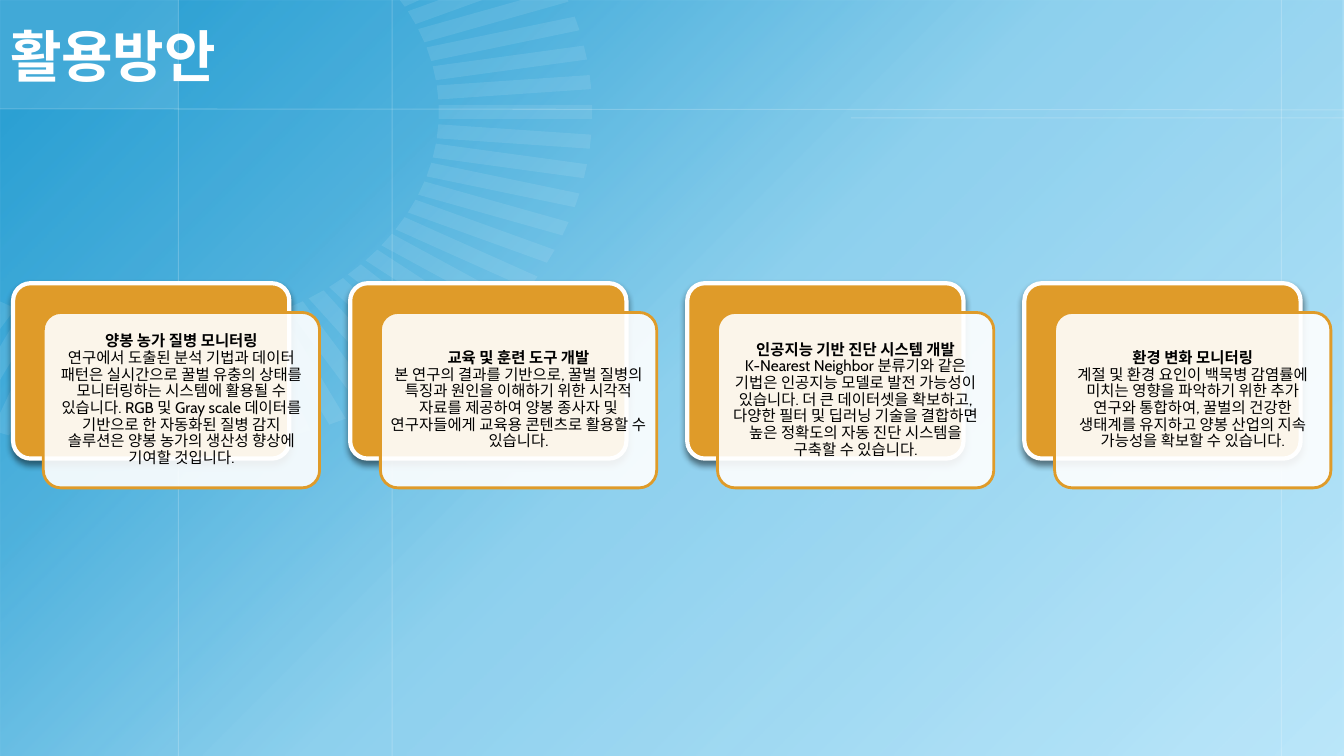
"""Builds the slide on uses of the bee disease study: a title and four cards."""
import math

import pptx
import pptx.dml.color
import pptx.enum.shapes
import pptx.enum.text
import pptx.oxml
import pptx.oxml.ns
import pptx.util
from lxml import etree

RGBColor = pptx.dml.color.RGBColor
SHAPE = pptx.enum.shapes.MSO_SHAPE

TITLE = "활용방안"
CARDS = [
    ("양봉 농가 질병 모니터링",
     "연구에서 도출된 분석 기법과 데이터 패턴은 실시간으로 꿀벌 유충의 상태를 모니터링하는 시스템에 활용될 수 있습니다. "
     "RGB 및 Gray scale 데이터를 기반으로 한 자동화된 질병 감지 솔루션은 양봉 농가의 생산성 향상에 기여할 것입니다."),
    ("교육 및 훈련 도구 개발",
     "본 연구의 결과를 기반으로, 꿀벌 질병의 특징과 원인을 이해하기 위한 시각적 자료를 제공하여 "
     "양봉 종사자 및 연구자들에게 교육용 콘텐츠로 활용할 수 있습니다."),
    ("인공지능 기반 진단 시스템 개발",
     "K-Nearest Neighbor 분류기와 같은 기법은 인공지능 모델로 발전 가능성이 있습니다. 더 큰 데이터셋을 확보하고, "
     "다양한 필터 및 딥러닝 기술을 결합하면 높은 정확도의 자동 진단 시스템을 구축할 수 있습니다."),
    ("환경 변화 모니터링",
     "계절 및 환경 요인이 백묵병 감염률에 미치는 영향을 파악하기 위한 추가 연구와 통합하여, "
     "꿀벌의 건강한 생태계를 유지하고 양봉 산업의 지속 가능성을 확보할 수 있습니다."),
]

WIDTH, HEIGHT = 13.33, 7.5
HEADER_W, HEADER_H = 1.77, 1.08
GRID_LINES = [(x, 0, x, HEIGHT) for x in (HEADER_W, 12.71, 3.89)] + [
    (0, HEADER_H, WIDTH, 1.09), (8.44, 1.17, WIDTH, 1.17)]
GRADIENT = [(6, 83), (26, 63), (50, 27), (100, 0)]

RAY_CENTER = (1.5, 1.11)
RAY_STRETCH = 1.29
RAY_INNER, RAY_OUTER, RAY_HALF = 2.21, 3.39, 0.07
RAY_STEP = 5
RAYS = [*range(-6, 15), *range(22, 25)]

CARD_W, CARD_H = 2.74, 1.74
CARD_LEFT, CARD_TOP = 0.13, 2.81
CARD_PITCH = (10.16 - CARD_LEFT) / (len(CARDS) - 1)
FRONT_DX, FRONT_DY = 0.3, 0.29
TEXT_INSET = 0.05

SKY = RGBColor(0xBC, 0xE7, 0xFA)
BLUE = RGBColor(0x0F, 0x92, 0xCC)
RAY = RGBColor(0xF2, 0xFA, 0xFE)
WHITE = RGBColor(0xFF, 0xFF, 0xFF)
AMBER = RGBColor(0xDF, 0x9B, 0x29)
BLACK = RGBColor(0, 0, 0)


def inches(*values):
    """Turn inch values into lengths."""
    return [pptx.util.Inches(v) for v in values]


def add_xml(parent, xml):
    """Append an element in the drawing namespace."""
    ns = pptx.oxml.ns.nsdecls("a")
    parent.append(pptx.oxml.parse_xml(xml.replace(">", f" {ns}>", 1)))


def set_alpha(sp, percent):
    """Make the first colour of a shape translucent."""
    color = next(sp._element.spPr.iter(pptx.oxml.ns.qn("a:srgbClr")))
    etree.SubElement(color, pptx.oxml.ns.qn("a:alpha"), val=str(percent * 1000))


def paint(sp, color, alpha=100, line=None, line_width=0):
    """Give a shape its fill, opacity and outline."""
    sp.shadow.inherit = False
    sp.fill.solid()
    sp.fill.fore_color.rgb = color
    if alpha < 100:
        set_alpha(sp, alpha)
    if line is None:
        sp.line.fill.background()
    else:
        sp.line.color.rgb = line
        sp.line.width = pptx.util.Pt(line_width)
    return sp


def add_gradient(shapes):
    """Cover the slide with a blue diagonal fade."""
    sp = shapes.add_shape(SHAPE.RECTANGLE, *inches(0, 0, WIDTH, HEIGHT))
    sp.shadow.inherit = False
    sp.line.fill.background()
    sp.fill.gradient()
    sp.fill.gradient_angle = 315
    stops = next(sp._element.spPr.iter(pptx.oxml.ns.qn("a:gsLst")))
    for gs in list(stops):
        stops.remove(gs)
    for position, alpha in GRADIENT:
        add_xml(stops, f'<a:gs pos="{position * 1000}"><a:srgbClr val="{BLUE}">'
                       f'<a:alpha val="{alpha * 1000}"/></a:srgbClr></a:gs>')


def add_grid_line(shapes, ends):
    """Draw one faint white guide line."""
    cx = shapes.add_connector(pptx.enum.shapes.MSO_CONNECTOR.STRAIGHT, *inches(*ends))
    cx.line.color.rgb = WHITE
    cx.line.width = pptx.util.Pt(0.75)
    set_alpha(cx, 20)
    add_xml(cx._element.spPr, "<a:effectLst></a:effectLst>")


def clip(points, axis):
    """Cut off the part of a polygon with a negative coordinate on one axis."""
    kept = []
    for a, b in zip(points, points[1:] + points[:1]):
        if a[axis] >= 0:
            kept.append(a)
        if (a[axis] >= 0) != (b[axis] >= 0):
            t = a[axis] / (a[axis] - b[axis])
            kept.append(tuple(p + t * (q - p) for p, q in zip(a, b)))
    return kept


def add_ray(shapes, index):
    """Draw one bar of the sunburst, cut at the slide edge."""
    angle = math.radians(index * RAY_STEP)
    cos, sin = math.cos(angle), math.sin(angle)
    corners = [(RAY_INNER, -RAY_HALF), (RAY_OUTER, -RAY_HALF),
               (RAY_OUTER, RAY_HALF), (RAY_INNER, RAY_HALF)]
    points = [(RAY_CENTER[0] + RAY_STRETCH * (r * cos - h * sin),
               RAY_CENTER[1] + r * sin + h * cos) for r, h in corners]
    points = [inches(*pt) for pt in clip(clip(points, 0), 1)]
    builder = shapes.build_freeform(*points[0])
    builder.add_line_segments(points[1:], close=True)
    paint(builder.convert_to_shape(), RAY, 10)


def add_title(slide):
    """Place the title above the backdrop."""
    sp = slide.shapes.title
    slide.shapes._spTree.append(sp._element)
    sp.left, sp.top, sp.width, sp.height = inches(0, 0.01, 10.89, HEADER_H)
    tf = sp.text_frame
    tf.text = TITLE
    tf.vertical_anchor = pptx.enum.text.MSO_ANCHOR.MIDDLE
    p = tf.paragraphs[0]
    p.alignment = pptx.enum.text.PP_ALIGN.LEFT
    format_run(p.runs[0], "Calibri", 40, WHITE, True)


def format_run(r, font, size, color, bold):
    """Set the look of a run."""
    r.font.name, r.font.size, r.font.bold = font, pptx.util.Pt(size), bold
    r.font.color.rgb = color


def add_card(shapes, left, heading, body):
    """Draw an amber card, its translucent front and its text."""
    back = shapes.add_shape(SHAPE.ROUNDED_RECTANGLE, *inches(left, CARD_TOP, CARD_W, CARD_H))
    front_left, front_top = left + FRONT_DX, CARD_TOP + FRONT_DY
    front = shapes.add_shape(SHAPE.ROUNDED_RECTANGLE,
                             *inches(front_left, front_top, CARD_W, CARD_H))
    back.adjustments[0] = front.adjustments[0] = 0.1
    paint(back, AMBER, 100, WHITE, 3)
    effects = back._element.spPr.find(pptx.oxml.ns.qn("a:effectLst"))
    add_xml(effects, '<a:outerShdw blurRad="57150" dist="38100" dir="5400000" algn="ctr" '
                     f'rotWithShape="0"><a:srgbClr val="{BLACK}"><a:alpha val="48000"/>'
                     '</a:srgbClr></a:outerShdw>')
    paint(front, WHITE, 90, AMBER, 2)

    box = shapes.add_textbox(*inches(front_left + TEXT_INSET, front_top + TEXT_INSET,
                                     CARD_W - 2 * TEXT_INSET, CARD_H - 2 * TEXT_INSET))
    tf = box.text_frame
    tf.word_wrap = True
    tf.vertical_anchor = pptx.enum.text.MSO_ANCHOR.MIDDLE
    tf.margin_left, tf.margin_top, tf.margin_right, tf.margin_bottom = inches(*[TEXT_INSET] * 4)
    p = tf.paragraphs[0]
    p.text = f"{heading}\v{body}"
    p.alignment = pptx.enum.text.PP_ALIGN.CENTER
    p.line_spacing = 0.9
    add_xml(p._p.find(pptx.oxml.ns.qn("a:br")), '<a:rPr sz="1100"></a:rPr>')
    for r, bold in zip(p.runs, (True, False)):
        format_run(r, "Cabin", 11, BLACK, bold)


def main():
    """Build and save the slide."""
    prs = pptx.Presentation()
    prs.slide_width, prs.slide_height = inches(WIDTH, HEIGHT)
    slide = prs.slides.add_slide(prs.slide_layouts[5])
    shapes = slide.shapes
    slide.background.fill.solid()
    slide.background.fill.fore_color.rgb = SKY
    add_gradient(shapes)
    paint(shapes.add_shape(SHAPE.RECTANGLE, *inches(0, 0, HEADER_W, HEADER_H)), WHITE, 10)
    for ends in GRID_LINES:
        add_grid_line(shapes, ends)
    for index in RAYS:
        add_ray(shapes, index)
    add_title(slide)
    for i, (heading, body) in enumerate(CARDS):
        add_card(shapes, CARD_LEFT + i * CARD_PITCH, heading, body)
    prs.save("out.pptx")


if __name__ == "__main__":
    main()
